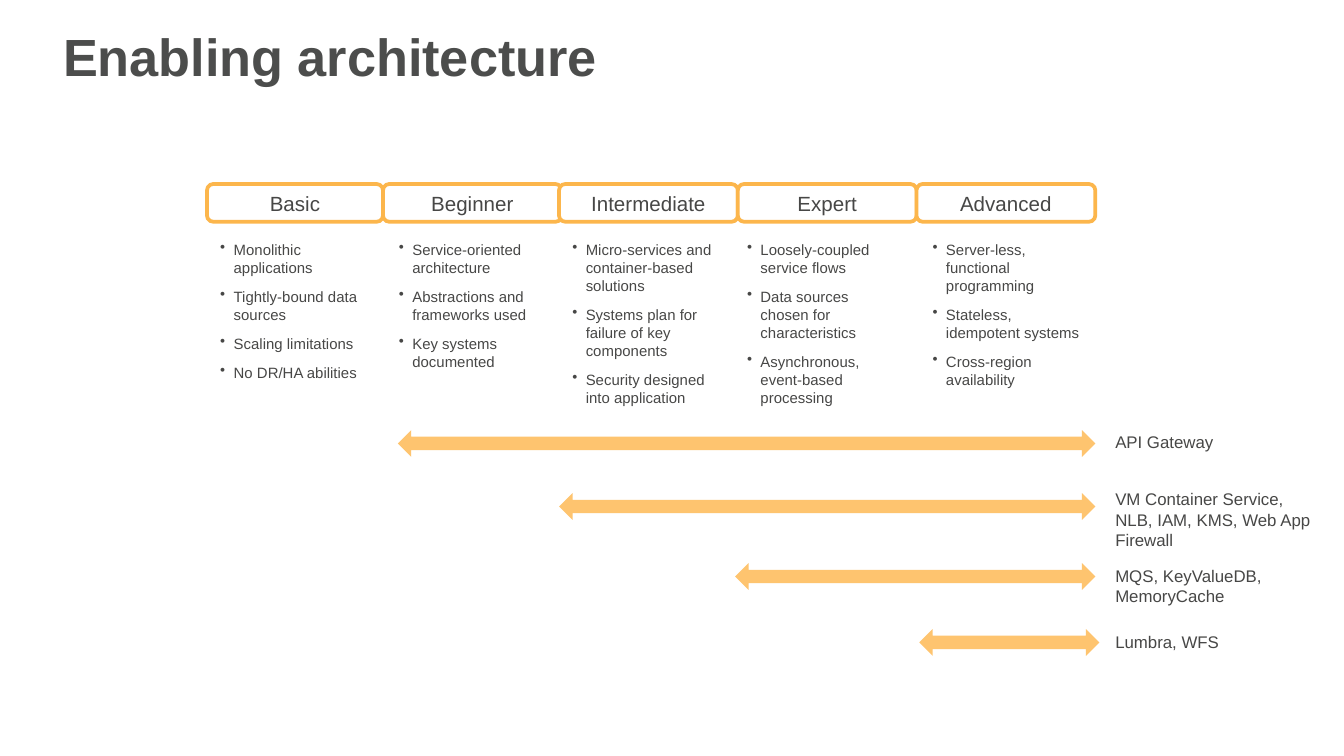
from lxml import etree
from pptx import Presentation
from pptx.dml.color import RGBColor
from pptx.enum.shapes import MSO_SHAPE
from pptx.enum.text import MSO_ANCHOR, PP_ALIGN
from pptx.oxml.ns import qn
from pptx.util import Pt

ROUNDED = MSO_SHAPE.ROUNDED_RECTANGLE
DOUBLE_ARROW = MSO_SHAPE.LEFT_RIGHT_ARROW
TOP, MIDDLE = MSO_ANCHOR.TOP, MSO_ANCHOR.MIDDLE
LEFT, CENTER = PP_ALIGN.LEFT, PP_ALIGN.CENTER

WHITE = RGBColor(0xFF, 0xFF, 0xFF)
TITLE_GRAY = RGBColor(0x4C, 0x4D, 0x4C)
TEXT_GRAY = RGBColor(0x47, 0x47, 0x46)
BORDER_ORANGE = RGBColor(0xFC, 0xB6, 0x4C)
ARROW_ORANGE = RGBColor(0xFE, 0xC4, 0x6F)
FONT = "Arial"

# Level, header left, header width, points left, points
LEVELS = [
    ("Basic", 110.9, 94.3, 110.9,
     ["Monolithic applications", "Tightly-bound data sources",
      "Scaling limitations", "No DR/HA abilities"]),
    ("Beginner", 205.2, 95.8, 206.6,
     ["Service-oriented architecture", "Abstractions and frameworks used",
      "Key systems documented"]),
    ("Intermediate", 299.5, 95.8, 299.5,
     ["Micro-services and container-based solutions",
      "Systems plan for failure of key components",
      "Security designed into application"]),
    ("Expert", 395.3, 95.8, 393.1,
     ["Loosely-coupled service flows", "Data sources chosen for characteristics",
      "Asynchronous, event-based processing"]),
    ("Advanced", 491, 95.8, 492.5,
     ["Server-less, functional programming", "Stateless, idempotent systems",
      "Cross-region availability"]),
]

# Service, arrow left, arrow right, arrow top, label top, label width
SERVICES = [
    ("API Gateway", 213.1, 586.8, 230.4, 227.5, 81.4),
    ("VM Container Service, NLB, IAM, KMS, Web App Firewall",
     299.5, 586.8, 264.2, 258.5, 123.1),
    ("MQS, KeyValueDB, MemoryCache", 393.8, 586.8, 301.7, 299.5, 129.6),
    ("Lumbra, WFS", 492.5, 589, 337, 334.8, 117.4),
]


def format_text(frame, size, color, align=LEFT, anchor=TOP, bold=False):
    frame.word_wrap = True
    frame.vertical_anchor = anchor
    for paragraph in frame.paragraphs:
        paragraph.alignment = align
        for run in paragraph.runs:
            run.font.name = FONT
            run.font.size = Pt(size)
            run.font.bold = bold
            run.font.color.rgb = color


def add_bullet(paragraph):
    properties = paragraph._p.get_or_add_pPr()
    properties.set("marL", str(Pt(7.2)))
    properties.set("indent", str(Pt(-7.2)))
    etree.SubElement(properties, qn("a:buChar")).set("char", "•")


def add_title(slide, left, top, width, height):
    title = slide.shapes.title
    title.left, title.top = Pt(left), Pt(top)
    title.width, title.height = Pt(width), Pt(height)
    title.text_frame.text = "Enabling architecture"
    format_text(title.text_frame, 28, TITLE_GRAY, bold=True)


def add_header(slide, level, left, top, width, height):
    header = slide.shapes.add_shape(ROUNDED, Pt(left), Pt(top), Pt(width), Pt(height))
    header.shadow.inherit = False
    header.fill.solid()
    header.fill.fore_color.rgb = WHITE
    header.line.color.rgb = BORDER_ORANGE
    header.line.width = Pt(2)
    header.text_frame.text = level
    format_text(header.text_frame, 11, TEXT_GRAY, CENTER, MIDDLE)


def add_points(slide, points, left, top, width, height):
    box = slide.shapes.add_textbox(Pt(left), Pt(top), Pt(width), Pt(height))
    frame = box.text_frame
    frame.text = "\n".join(points)
    for index, paragraph in enumerate(frame.paragraphs):
        add_bullet(paragraph)
        if index:
            paragraph.space_before = Pt(6)
    format_text(frame, 8, TEXT_GRAY)


def add_arrow(slide, left, top, width, height):
    arrow = slide.shapes.add_shape(DOUBLE_ARROW, Pt(left), Pt(top), Pt(width), Pt(height))
    arrow.shadow.inherit = False
    arrow.fill.solid()
    arrow.fill.fore_color.rgb = ARROW_ORANGE
    arrow.line.fill.background()


def add_service_label(slide, service, left, top, width, height):
    label = slide.shapes.add_textbox(Pt(left), Pt(top), Pt(width), Pt(height))
    label.text_frame.text = service
    format_text(label.text_frame, 9, TEXT_GRAY)


def main():
    prs = Presentation()
    prs.slide_width, prs.slide_height = Pt(720), Pt(405)
    slide = prs.slides.add_slide(prs.slide_layouts[5])
    add_title(slide, 26.6, 9.4, 645.8, 43.2)

    # Maturity levels
    for level, header_left, header_width, points_left, points in LEVELS:
        add_header(slide, level, header_left, 98.6, header_width, 20.2)
        add_points(slide, points, points_left, 125.3, 94.3, 94.3)

    # Services and the levels they span
    for service, left, right, arrow_top, label_top, label_width in SERVICES:
        add_arrow(slide, left, arrow_top, right - left, 14.4)
        add_service_label(slide, service, 590.4, label_top, label_width, 17.3)

    prs.save("out.pptx")


if __name__ == "__main__":
    main()
